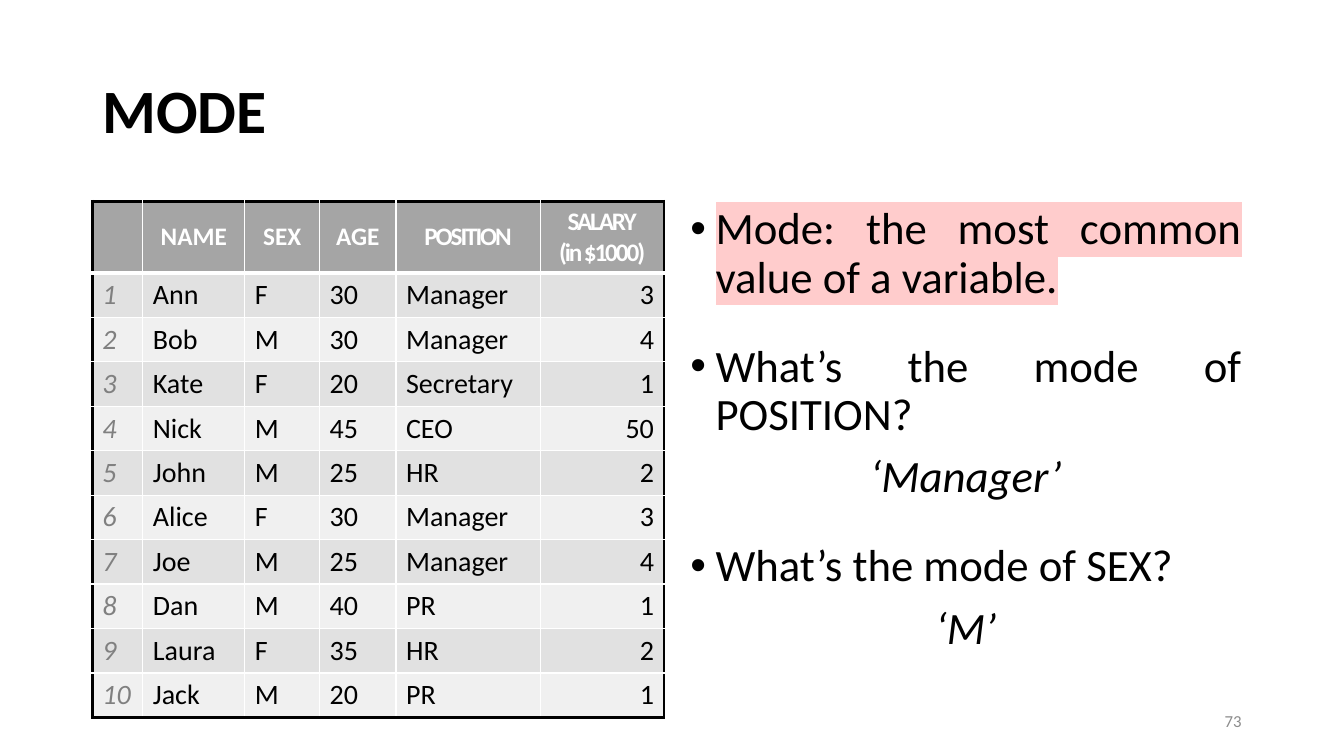
"""Build the MODE slide: a staff table beside questions about the mode."""
from lxml import etree
from pptx import Presentation
from pptx import util as u
from pptx.dml.color import RGBColor
from pptx.enum import text
from pptx.oxml.ns import qn

C = {"ink": "000000", "white": "FFFFFF", "head": "A5A5A5", "odd": "E1E1E1",
     "even": "F0F0F0", "index": "808080", "number": "8C8C8C", "mark": "FFCCCC"}
AL = text.PP_ALIGN
MID = text.MSO_ANCHOR.MIDDLE


def add_text(p, words, size=20, color="ink", bold=False, italic=False,
             align=AL.LEFT, spacing=None, before=0, tracking=0, mark=None, bullet=False):
    p.alignment = align
    p.space_before = u.Pt(before)
    if spacing:
        p.line_spacing = spacing
    if bullet:
        pPr = p._p.get_or_add_pPr()
        pPr.set("marL", str(u.Pt(18)))
        pPr.set("indent", str(u.Pt(-18)))
        etree.SubElement(pPr, qn("a:buFont")).set("typeface", "Arial")
        etree.SubElement(pPr, qn("a:buChar")).set("char", "•")
    r = p.add_run()
    r.text = words
    f = r.font
    f.name, f.size, f.bold, f.italic = "Calibri", u.Pt(size), bold, italic
    f.color.rgb = RGBColor.from_string(C[color])
    rPr = r._r.get_or_add_rPr()
    if tracking:
        rPr.set("spc", str(int(tracking * 100)))
    if mark:
        hl = etree.Element(qn("a:highlight"))
        etree.SubElement(hl, qn("a:srgbClr")).set("val", C[mark])
        rPr.find(qn("a:solidFill")).addnext(hl)


class Deck:
    def __init__(self):
        self.prs = Presentation()
        self.prs.slide_width, self.prs.slide_height = u.Pt(960), u.Pt(540)
        self.s = self.prs.slides.add_slide(self.prs.slide_layouts[6])

    def box(self, x, y, w, h, paragraphs, anchor=MID):
        tf = self.s.shapes.add_textbox(u.Pt(x), u.Pt(y), u.Pt(w), u.Pt(h)).text_frame
        tf.word_wrap = True
        tf.vertical_anchor = anchor
        for i, (words, style) in enumerate(paragraphs):
            p = tf.add_paragraph() if i else tf.paragraphs[0]
            add_text(p, words, **style)

    def borders(self, cell, sides):
        tcPr = cell._tc.get_or_add_tcPr()
        for i, side in enumerate("LRTB"):
            color, width = sides.get(side, ("white", 1))
            ln = etree.Element(qn("a:ln" + side), w=str(u.Pt(width)))
            fill = etree.SubElement(ln, qn("a:solidFill"))
            etree.SubElement(fill, qn("a:srgbClr")).set("val", C[color])
            tcPr.insert(i, ln)

    def cell(self, cell, words, fill, sides, **style):
        cell.vertical_anchor = MID
        cell.fill.solid()
        cell.fill.fore_color.rgb = RGBColor.from_string(C[fill])
        self.borders(cell, sides)
        tf = cell.text_frame
        for i, line in enumerate(words.split("\n") if words else []):
            add_text(tf.add_paragraph() if i else tf.paragraphs[0], line, **style)

    def table(self, x, y, widths, head_height, row_height, rows):
        n, m = len(rows), len(widths)
        height = head_height + row_height * (n - 1)
        t = self.s.shapes.add_table(n, m, u.Pt(x), u.Pt(y), u.Pt(sum(widths)), u.Pt(height)).table
        t.horz_banding = False
        for col, w in zip(t.columns, widths):
            col.width = u.Pt(w)
        edge = ("ink", 2.25)
        for i, row in enumerate(rows):
            t.rows[i].height = u.Pt(row_height if i else head_height)
            for j, words in enumerate(row):
                sides = {} if i else {"T": edge, "B": ("white", 3)}
                if i == n - 1:
                    sides["B"] = edge
                if j == 0:
                    sides["L"] = edge
                if j == m - 1:
                    sides["R"] = edge
                if i == 0:
                    fill = "head"
                    style = dict(size=18, color="white", bold=True, align=AL.CENTER,
                                 tracking=-1.5 if j >= 4 else 0)
                else:
                    fill = "odd" if i % 2 else "even"
                    style = dict(color="ink" if j else "index", italic=j == 0,
                                 align=AL.RIGHT if j == m - 1 else AL.LEFT)
                self.cell(t.cell(i, j), words, fill, sides, **style)


def main():
    d = Deck()
    d.box(66, 28.75, 828, 104.4, [("MODE", dict(size=44, bold=True, spacing=0.9))])

    staff = [("Ann", "F", "30", "Manager", "3"), ("Bob", "M", "30", "Manager", "4"),
             ("Kate", "F", "20", "Secretary", "1"), ("Nick", "M", "45", "CEO", "50"),
             ("John", "M", "25", "HR", "2"), ("Alice", "F", "30", "Manager", "3"),
             ("Joe", "M", "25", "Manager", "4"), ("Dan", "M", "40", "PR", "1"),
             ("Laura", "F", "35", "HR", "2"), ("Jack", "M", "20", "PR", "1")]
    header = ("", "NAME", "SEX", "AGE", "POSITION", "SALARY\n(in $1000)")
    rows = [header] + [(str(i), *person) for i, person in enumerate(staff, 1)]
    d.table(66, 143.75, [36, 72.9, 53.4, 54.6, 103, 88.5], 51.2, 31.75, rows)

    base = dict(size=32, spacing=0.9, before=10)
    point = dict(base, bullet=True)
    answer = dict(base, italic=True, align=AL.CENTER)
    d.box(486, 143.75, 408, 368.6, [
        ("Mode: the most common value of a variable.", dict(point, align=AL.JUSTIFY, mark="mark")),
        ("What’s the mode of POSITION?", dict(point, align=AL.JUSTIFY, before=28.8)),
        ("‘Manager’", answer),
        ("What’s the mode of SEX?", dict(point, before=28.8)),
        ("‘M’", answer)], anchor=text.MSO_ANCHOR.TOP)
    d.box(678, 500.5, 216, 28.75, [("73", dict(size=12, color="number", align=AL.RIGHT))])
    d.prs.save("out.pptx")


if __name__ == "__main__":
    main()
